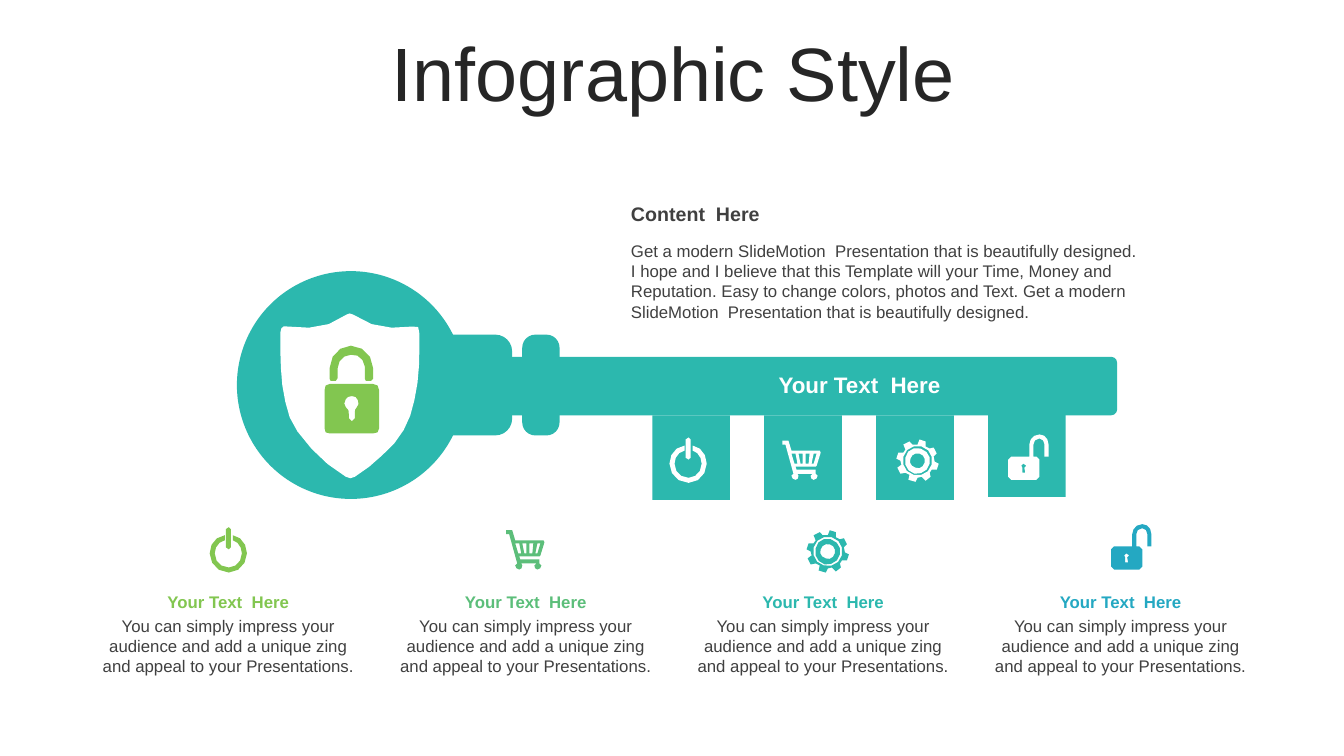
"""Build a key infographic with four labelled features."""
from math import dist

from pptx import Presentation
from pptx.dml.color import RGBColor
from pptx.enum import shapes, text
from pptx.util import Inches, Pt

TEAL = RGBColor(0x2C, 0xB8, 0xAE)
LIME = RGBColor(0x82, 0xC6, 0x50)
GREEN = RGBColor(0x5C, 0xBE, 0x7A)
BLUE = RGBColor(0x24, 0xA8, 0xC2)
WHITE = RGBColor(0xFF, 0xFF, 0xFF)
INK = RGBColor(0x26, 0x26, 0x26)
GREY = RGBColor(0x40, 0x40, 0x40)

SHIELD = (
    "69,0 72,1 90,14,110,16,131,13 137,12,138,13,138,20 138,34 "
    "138,52,137,69,133,86 130,102,124,116,113,129 101,141,89,153,74,162 "
    "71,164,68,164,65,162 46,151,30,135,17,117 7,104,5,88,2,71 0,54,0,37,0,19 "
    "1,13,2,12,8,13 29,16,49,14,66,1",
)
PADLOCK = (
    "27,50 24,50,22,51,21,53 19,56,19,59,21,61 24,63,24,65,24,68 24,72 "
    "27,75 30,72 30,66 30,64,30,63,32,61 34,59,34,57,33,54 32,51,30,50,27,50",
    "5,38 48,38 52,38,54,40,54,44 54,82 54,86,52,87,48,87 5,87 "
    "1,87,0,86,0,82 0,44 0,40,1,38,5,38",
    "26,0 38,0,48,10,48,22 48,33 46,35 41,35 40,33 40,21 39,13,33,8,26,9 "
    "19,9,13,15,13,22 13,32 11,35 6,35 5,33 5,22 5,10,15,0,26,0",
)
POWER = (
    "15,8 15,13 9,14,5,20,5,26 5,34,11,40,19,40 26,40,32,34,32,26 "
    "32,20,28,14,23,13 23,8 31,9,37,17,37,26 37,36,29,45,19,45 "
    "8,45,0,36,0,26 0,17,6,9,15,8",
    "19,0 21,2 21,20 19,22 16,20 16,2",
)
CART = (
    "31,13 29,23 31,23 34,13",
    "23,13 23,23 26,23 27,13",
    "16,13 18,23 20,23 20,13",
    "9,13 12,23 15,23 13,13",
    "6,0 9,10 37,10 38,12 34,25 33,26 13,26 14,29 33,29 33,33 35,35 "
    "35,37,33,39,31,39 29,39,28,37,28,35 30,33 15,33 16,35 16,37,15,39,13,39 "
    "11,39,9,37,9,35 11,33 3,4 0,4 0,0 5,0",
)
GEAR = (
    "23,14 19,13,15,15,14,19 12,23,15,27,19,28 23,30,27,27,28,23 29,19,27,15,23,14",
    "24,9 31,11,35,18,33,24 32,31,24,35,18,34 11,32,7,25,9,18 10,11,17,7,24,9",
    "25,7 17,5,9,9,7,17 5,25,9,33,17,35 25,37,33,33,35,25 37,17,33,9,25,7",
    "29,2 29,7 33,9 37,8 40,14 37,17 38,22 42,24 40,30 35,30 33,33 34,37 29,41 "
    "25,37 21,38 19,42 12,40 13,35 9,33 4,34 1,28 5,25 4,21 0,19 2,13 7,13 "
    "9,10 7,5 13,2 16,5 21,5 23,0",
)
OPEN_LOCK = (
    "15,29 13,31 14,33 14,38 17,38 16,33 18,31",
    "31,0 36,0,40,4,40,10 40,22 36,22 36,10 36,7,34,4,31,4 27,4,25,7,25,10 "
    "25,22 28,22 31,25 31,42 28,45 3,45 0,42 0,25 3,22 21,22 21,10 21,5,25,0,31,0",
)

FEATURES = [
    (POWER, LIME, (6.64, 4.34), (2.08, 5.23), 4.12),
    (CART, GREEN, (7.76, 4.37), (5.02, 5.26), 4.12),
    (GEAR, TEAL, (8.89, 4.36), (8, 5.26), 4.12),
    (OPEN_LOCK, BLUE, (10, 4.31), (11.02, 5.2), 4.09),
]
LABEL = "Your Text  Here"
PITCH = "You can simply impress your audience and add a unique zing and appeal to your Presentations."
INTRO = (
    "Get a modern SlideMotion  Presentation that is beautifully designed. "
    "I hope and I believe that this Template will your Time, Money and Reputation. "
    "Easy to change colors, photos and Text. "
    "Get a modern SlideMotion  Presentation that is beautifully designed."
)


def trace(contour):
    """Turn a contour into points; six numbers make a curve, two a line."""
    points = []
    for segment in contour.split():
        numbers = [int(n) for n in segment.split(",")]
        end = tuple(numbers[-2:])
        if len(numbers) == 6:
            x0, y0 = points[-1]
            x1, y1, x2, y2, x3, y3 = numbers
            steps = min(3, 1 + int(dist(points[-1], end) // 5))
            for step in range(1, steps):
                t = step / steps
                a, b, c, d = (1 - t) ** 3, 3 * t * (1 - t) ** 2, 3 * t * t * (1 - t), t ** 3
                points.append((a * x0 + b * x1 + c * x2 + d * x3,
                               a * y0 + b * y1 + c * y2 + d * y3))
        if not points or end != points[0]:
            points.append(end)
    return points


class KeySlide:
    """Holds the font and the slide, and draws each kind of element."""

    font = "Arial"

    def __init__(self, slide):
        self.shapes = slide.shapes

    def paint(self, shape, color):
        shape.shadow.inherit = False
        shape.fill.solid()
        shape.fill.fore_color.rgb = color
        shape.line.fill.background()

    def block(self, kind, box, color=TEAL, corner=None):
        shape = self.shapes.add_shape(kind, *map(Inches, box))
        if corner is not None:
            shape.adjustments[0] = corner
        self.paint(shape, color)

    def icon(self, contours, at, color):
        left, top = at
        builder = None
        for contour in contours:
            start, *rest = [(Inches(left + x / 100), Inches(top + y / 100))
                            for x, y in trace(contour)]
            if builder is None:
                builder = self.shapes.build_freeform(*start, scale=1.0)
            else:
                builder.move_to(*start)
            builder.add_line_segments(rest, close=True)
        self.paint(builder.convert_to_shape(), color)

    def words(self, content, box, size, color, bold=False, align=text.PP_ALIGN.CENTER,
              anchor=text.MSO_ANCHOR.TOP, spacing=None):
        frame = self.shapes.add_textbox(*map(Inches, box)).text_frame
        frame.word_wrap = True
        frame.vertical_anchor = anchor
        frame.text = content
        paragraph = frame.paragraphs[0]
        paragraph.alignment = align
        paragraph.line_spacing = spacing
        font = paragraph.runs[0].font
        font.name, font.size, font.bold = self.font, Pt(size), bold
        font.color.rgb = color


def main():
    deck = Presentation()
    deck.slide_width, deck.slide_height = Inches(13.33), Inches(7.5)
    page = KeySlide(deck.slides.add_slide(deck.slide_layouts[6]))
    kinds = shapes.MSO_SHAPE
    left, middle = text.PP_ALIGN.LEFT, text.MSO_ANCHOR.MIDDLE

    page.words("Infographic Style", (0.35, 0.37, 12.66, 0.79), 54, INK,
               anchor=middle, spacing=0.9)

    page.block(kinds.OVAL, (2.35, 2.69, 2.26, 2.26))
    page.block(kinds.ROUNDED_RECTANGLE, (4.08, 3.32, 1, 1))
    page.block(kinds.ROUNDED_RECTANGLE, (5.18, 3.32, 0.37, 1), corner=0.35)
    page.block(kinds.ROUNDED_RECTANGLE, (5, 3.54, 6.08, 0.58), corner=0.1)
    page.icon(SHIELD, (2.78, 3.11), WHITE)
    page.icon(PADLOCK, (3.22, 3.43), LIME)
    page.words(LABEL, (7.09, 3.63, 2.87, 0.37), 16, WHITE, bold=True)

    page.words("Content  Here", (6.16, 1.95, 5.23, 0.34), 14, GREY, bold=True,
               align=left, anchor=middle)
    page.words(INTRO, (6.16, 2.34, 5.23, 0.91), 12, GREY, align=left)

    for i, (contours, color, on_key, below, tooth_top) in enumerate(FEATURES):
        page.block(kinds.RECTANGLE, (6.47 + 1.11 * i, tooth_top, 0.77, 0.84))
        page.icon(contours, on_key, WHITE)
        page.icon(contours, below, color)
        column = 0.83 + 2.95 * i
        page.words(PITCH, (column, 6.06, 2.87, 0.71), 12, GREY)
        page.words(LABEL, (column, 5.82, 2.87, 0.3), 12, color, bold=True)

    deck.save("out.pptx")


if __name__ == "__main__":
    main()
